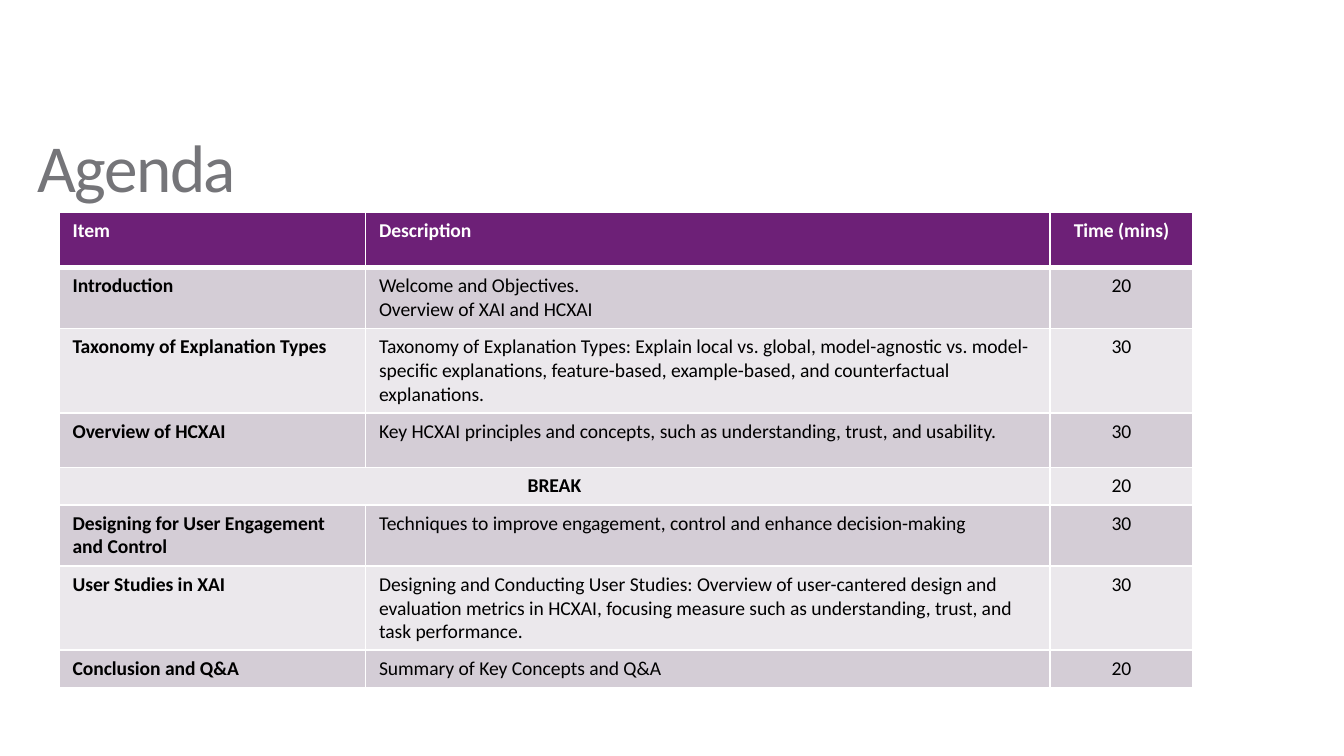
from lxml import etree
from pptx import Presentation
from pptx.dml.color import RGBColor
from pptx.enum.text import MSO_ANCHOR, PP_ALIGN
from pptx.oxml.ns import qn
from pptx.util import Pt

LEFT, MID = PP_ALIGN.LEFT, PP_ALIGN.CENTER
CENTER = MSO_ANCHOR.MIDDLE
WHITE, BLACK, GREY = "FFFFFF", "000000", "757579"
PURPLE, DARK, LIGHT = "6D2077", "D4CDD6", "EBE8EC"


def color(code):
    return RGBColor.from_string(code)


def write(frame, text, size=10.5, ink=BLACK, bold=False, align=LEFT, track=0):
    frame.word_wrap = True
    for num, line in enumerate(text.split("\n")):
        para = frame.add_paragraph() if num else frame.paragraphs[0]
        para.alignment = align
        run = para.add_run()
        run.text = line
        font = run.font
        font.name, font.size, font.bold = "Calibri", Pt(size), bold
        font.color.rgb = color(ink)
        if track:
            run._r.get_or_add_rPr().set("spc", str(track))


deck = Presentation()
deck.slide_width, deck.slide_height = Pt(720), Pt(405)
slide = deck.slides.add_slide(deck.slide_layouts[6])

box = slide.shapes.add_textbox(Pt(20), Pt(63.4), Pt(680), Pt(50.4))
frame = box.text_frame
frame.margin_left = frame.margin_right = frame.margin_bottom = 0
frame.margin_top = Pt(0.7)
frame.vertical_anchor = CENTER
write(frame, "Agenda", size=36, ink=GREY, track=-80)

rows = [
    ("Item", "Description", "Time (mins)"),
    ("Introduction", "Welcome and Objectives.\nOverview of XAI and HCXAI", "20"),
    ("Taxonomy of Explanation Types",
     "Taxonomy of Explanation Types: Explain local vs. global, model-agnostic vs. "
     "model-specific explanations, feature-based, example-based, and counterfactual "
     "explanations.", "30"),
    ("Overview of HCXAI",
     "Key HCXAI principles and concepts, such as understanding, trust, and usability.",
     "30"),
    ("BREAK", "", "20"),
    ("Designing for User Engagement and Control",
     "Techniques to improve engagement, control and enhance decision-making", "30"),
    ("User Studies in XAI",
     "Designing and Conducting User Studies: Overview of user-cantered design and "
     "evaluation metrics in HCXAI, focusing measure such as understanding, trust, "
     "and task performance.", "30"),
    ("Conclusion and Q&A", "Summary of Key Concepts and Q&A", "20"),
]
widths = [164.2, 366.5, 76.9]
heights = [29.4, 32.8, 45.1, 29.4, 20, 32.8, 45.1, 20]

table = slide.shapes.add_table(
    len(rows), len(widths), Pt(31.7), Pt(113.8), Pt(sum(widths)), Pt(sum(heights))
).table
for col, width in zip(table.columns, widths):
    col.width = Pt(width)
for row, height in zip(table.rows, heights):
    row.height = Pt(height)

for r, row in enumerate(rows):
    head = r == 0
    pause = row[0] == "BREAK"
    for c, text in enumerate(row):
        cell = table.cell(r, c)
        if text:
            write(cell.text_frame, text, ink=WHITE if head else BLACK,
                  bold=head or c == 0, align=MID if pause or c == 2 else LEFT)
        props = cell._tc.get_or_add_tcPr()
        for side in ("L", "R", "T", "B"):
            thick = (head and side == "B") or (r == 1 and side == "T")
            line = etree.SubElement(props, qn("a:ln" + side), w=str(Pt(3 if thick else 1)))
            fill = etree.SubElement(line, qn("a:solidFill"))
            etree.SubElement(fill, qn("a:srgbClr"), val=WHITE)
        cell.fill.solid()
        cell.fill.fore_color.rgb = color(PURPLE if head else DARK if r % 2 else LIGHT)
    if pause:
        table.cell(r, 0).merge(table.cell(r, 1))

deck.save("out.pptx")
